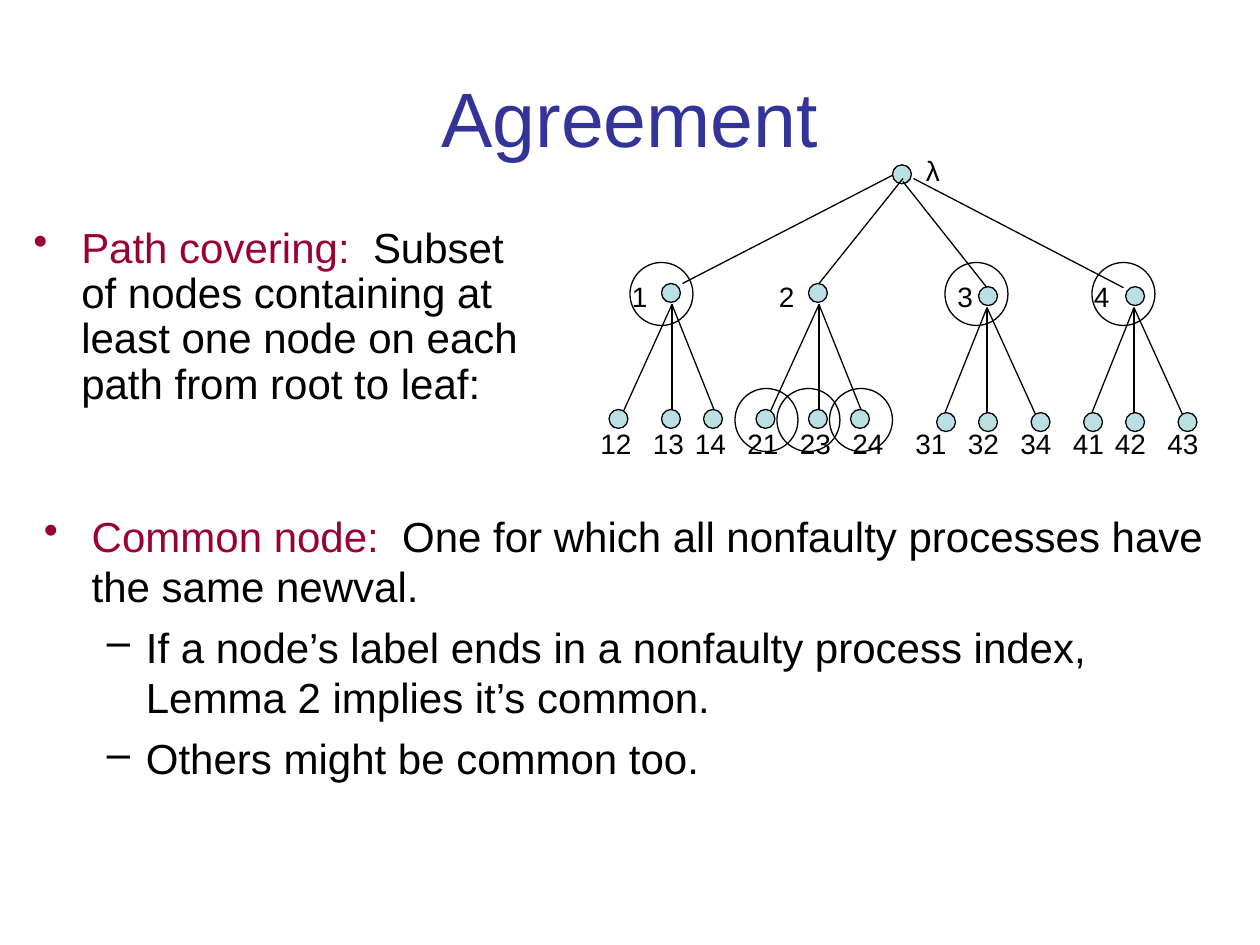
"""Build the Agreement slide: a labelled process tree with path covering and common node notes."""
from dataclasses import dataclass

from lxml import etree
from pptx import Presentation
from pptx.dml.color import RGBColor
from pptx.enum import shapes, text
from pptx.oxml import ns
from pptx.util import Inches, Pt

COLUMNS, ROWS = 120, 90
BLACK, BLUE, RED, AQUA = "000000", "333399", "990033", "BBE0E3"
DOT, RING = 1.8, 6
ROOT = (85, 15.7)


@dataclass
class Family:
    """A parent node, its edge to the root and its three leaves."""
    name: str
    name_column: float
    apex: tuple[float, float]
    dot_shift: float
    edge: tuple[float, float, float, float]
    offsets: tuple[int, int, int]
    leaves: dict[str, int]


@dataclass
class Item:
    """A bulleted paragraph with an optional coloured lead."""
    lead: str
    body: str
    level: int = 0
    spacing: float | None = None


FAMILIES = [
    Family("1", 59, (64, 29), 1, (65, 27, 85, 16.7), (-5, 0, 4), {"12": 56, "13": 61, "14": 65}),
    Family("2", 73, (78, 29), 1, (78, 27, 86, 17), (-5, 0, 4), {"21": 70, "23": 75, "24": 80}),
    Family("3", 90, (94, 29.3), 0.8, (94, 27.4, 86, 17.3), (-4, 0, 5), {"31": 86, "32": 91, "34": 96}),
    Family("4", 103, (108, 29.3), 0.8, (107, 27.4, 87, 17), (-4, 0, 5), {"41": 101, "42": 105, "43": 110}),
]
RINGS = [(60, 25), (90, 25), (104, 25), (70, 37), (74, 37), (79, 37)]
COVERING = [Item("Path covering:", "  Subset of nodes containing at least one node on each path "
                 "from root to leaf:", spacing=0.9)]
COMMON = [
    Item("Common node:", "  One for which all nonfaulty processes have the same newval."),
    Item("", "If a node’s label ends in a nonfaulty process index, Lemma 2 implies it’s common.", 1),
    Item("", "Others might be common too.", 1),
]

deck = Presentation()
deck.slide_width, deck.slide_height = Inches(10), Inches(7.5)
page = deck.slides.add_slide(deck.slide_layouts[6])


def grid(*lengths: float) -> list[int]:
    """Turn alternating column and row counts into slide lengths."""
    units = (deck.slide_width / COLUMNS, deck.slide_height / ROWS)
    return [round(length * units[index % 2]) for index, length in enumerate(lengths)]


def color(code: str) -> RGBColor:
    """Turn a hex string into a colour."""
    return RGBColor.from_string(code)


def style(span, size: float, code: str) -> None:
    """Set the font of a run."""
    span.font.name, span.font.size = "Arial", Pt(size)
    span.font.color.rgb = color(code)


def textbox(left: float, top: float, width: float, height: float):
    """Add an empty wrapping text box and return its text frame."""
    frame = page.shapes.add_textbox(*grid(left, top, width, height)).text_frame
    frame.word_wrap = True
    return frame


def label(caption: str, left: float, top: float) -> None:
    """Add a node label."""
    frame = textbox(left, top, 5.8, 4.4)
    frame.text = caption
    style(frame.paragraphs[0].runs[0], 16, BLACK)


def circle(left: float, top: float, size: float, fill: str | None = None) -> None:
    """Add an outlined circle, filled or open."""
    shape = page.shapes.add_shape(shapes.MSO_SHAPE.OVAL, *grid(left, top, size, size))
    shape.shadow.inherit = False
    if fill:
        shape.fill.solid()
        shape.fill.fore_color.rgb = color(fill)
    else:
        shape.fill.background()
    shape.line.color.rgb, shape.line.width = color(BLACK), Pt(0.75)


def edge(*ends: float) -> None:
    """Add a straight tree edge."""
    line = page.shapes.add_connector(shapes.MSO_CONNECTOR.STRAIGHT, *grid(*ends))
    line.line.color.rgb, line.line.width = color(BLACK), Pt(0.75)
    etree.SubElement(line._element.spPr, ns.qn("a:effectLst"))


def draw_family(family: Family) -> None:
    """Draw a parent node with its edges, leaves and labels."""
    column, row = family.apex
    dot_column, dot_row = column - family.dot_shift, row - 2
    edge(*family.edge)
    circle(dot_column, dot_row, DOT, AQUA)
    label(family.name, family.name_column, 26)
    for offset, (caption, place) in zip(family.offsets, family.leaves.items()):
        edge(column, row, column + offset, row + (11 if abs(offset) == 5 else 10))
        circle(dot_column + offset, dot_row + 12, DOT, AQUA)
        label(caption, place, 40)


def bullets(frame, items: list[Item]) -> None:
    """Fill a text frame with bulleted paragraphs."""
    for index, item in enumerate(items):
        para = frame.add_paragraph() if index else frame.paragraphs[0]
        para.level = item.level
        margin, hang, mark, tint = ((0.81, 0.31, "–", BLACK) if item.level
                                    else (0.38, 0.38, "•", RED))
        properties = para._p.get_or_add_pPr()
        properties.set("marL", str(Inches(margin)))
        properties.set("indent", str(-Inches(hang)))
        tone = etree.SubElement(properties, ns.qn("a:buClr"))
        etree.SubElement(tone, ns.qn("a:srgbClr")).set("val", tint)
        etree.SubElement(properties, ns.qn("a:buChar")).set("char", mark)
        if index:
            para.space_before = Pt(6)
        if item.spacing:
            para.line_spacing = item.spacing
        for words, code in ((item.lead, RED), (item.body, BLACK)):
            if words:
                span = para.add_run()
                span.text = words
                style(span, 24, code)


def main() -> None:
    """Build and save the slide."""
    title = textbox(6, 3.6, 108, 15)
    title.vertical_anchor = text.MSO_ANCHOR.MIDDLE
    title.text = "Agreement"
    title.paragraphs[0].alignment = text.PP_ALIGN.CENTER
    style(title.paragraphs[0].runs[0], 44, BLUE)
    bullets(textbox(2, 21, 50, 26), COVERING)
    circle(*ROOT, DOT, AQUA)
    label("λ", 87, 14)
    for family in FAMILIES:
        draw_family(family)
    for left, top in RINGS:
        circle(left, top, RING)
    bullets(textbox(3, 48, 113, 39), COMMON)
    deck.save("out.pptx")


if __name__ == "__main__":
    main()
